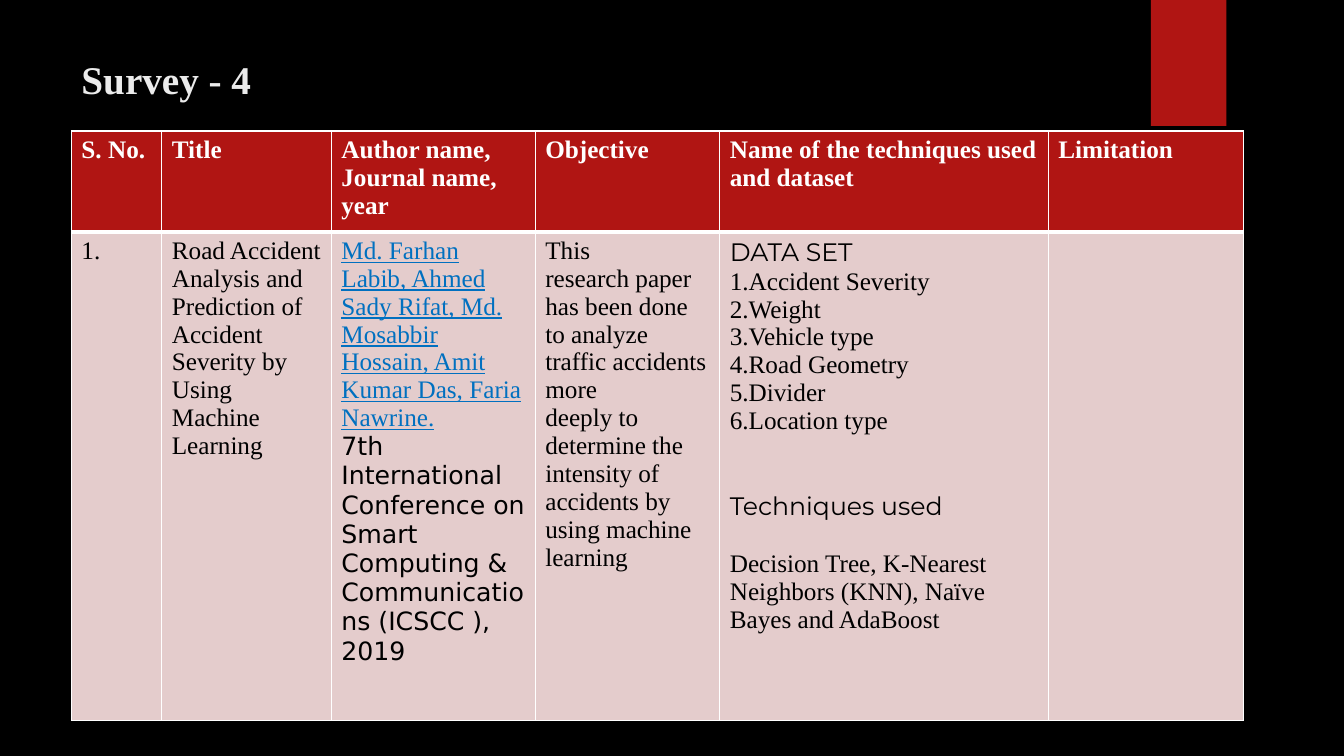
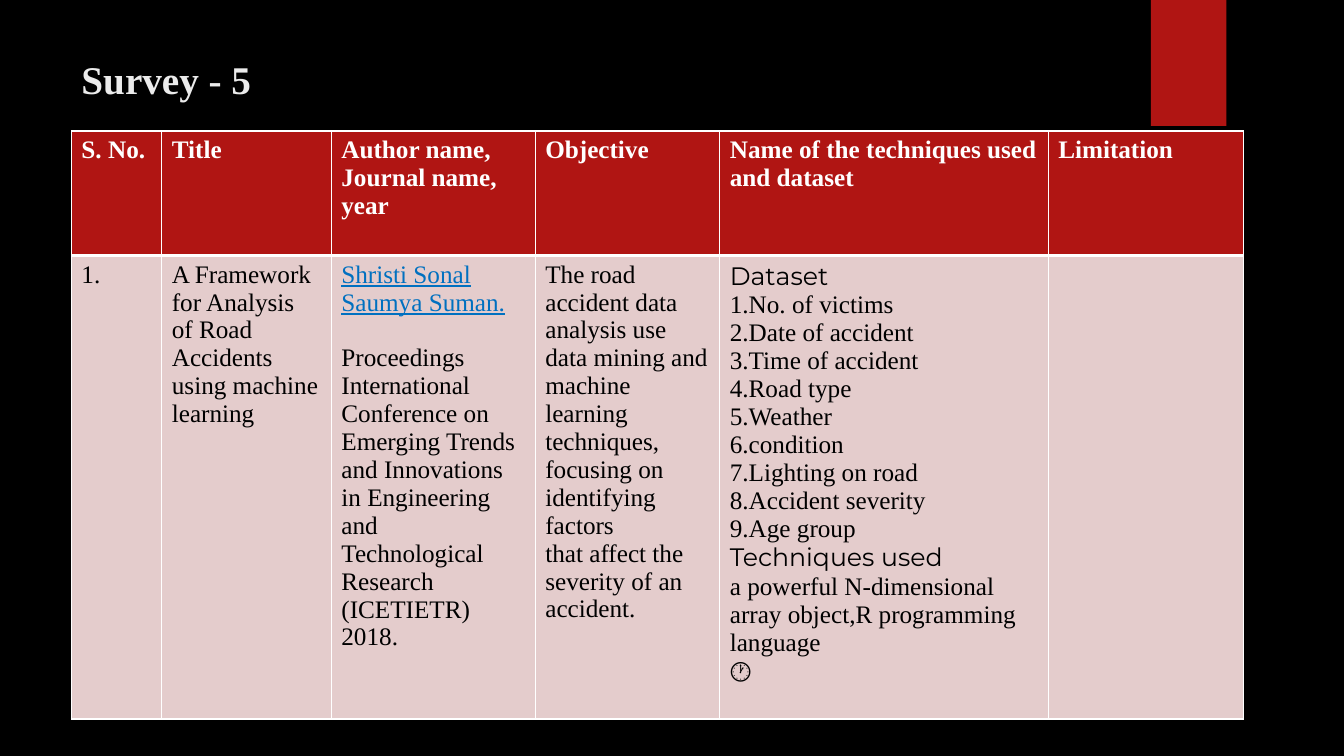
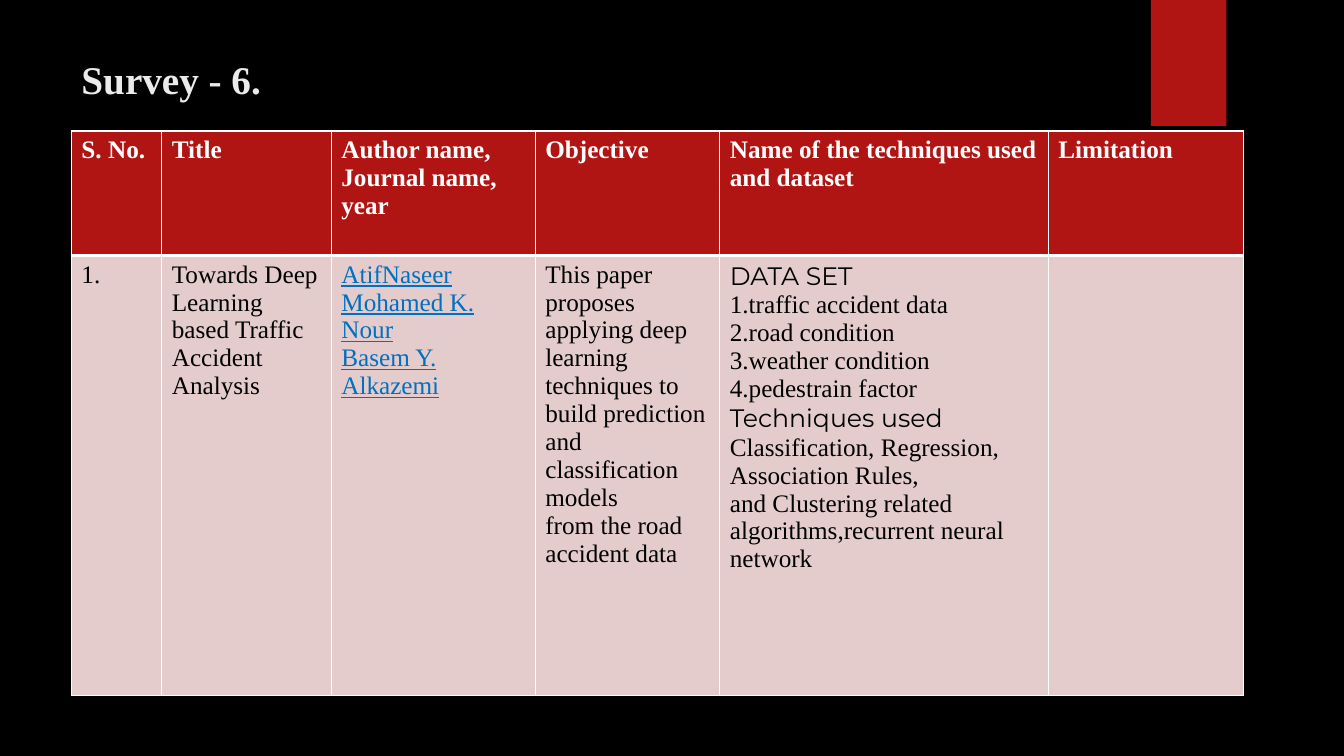
from lxml.etree import SubElement
from pptx import Presentation
from pptx.dml.color import RGBColor
from pptx.enum.shapes import MSO_SHAPE as Shape
from pptx.enum.text import MSO_ANCHOR as Anchor, PP_ALIGN as Align
from pptx.oxml.ns import qn
from pptx.util import Pt

BLACK = RGBColor(0x00, 0x00, 0x00)
WHITE = RGBColor(0xFF, 0xFF, 0xFF)
RED = RGBColor(0xB0, 0x15, 0x13)
PINK = RGBColor(0xE4, 0xCC, 0xCC)
BLUE = RGBColor(0x00, 0x70, 0xC0)
PALE = RGBColor(0xEB, 0xEB, 0xEB)

SERIF, SANS, DISPLAY = "Times New Roman", "DejaVu Sans", "Montserrat"
LINK = {"color": BLUE, "underline": True}
CONFERENCE = {"font": SANS}
HEADING = {"font": DISPLAY}

TABLE_LEFT, TABLE_TOP = 51, 93.6
COLUMN_WIDTHS = [64.6, 121.1, 145.7, 131.8, 234.6, 139.6]
HEADINGS = [
    ["S. No."],
    ["Title"],
    ["Author name, Journal name,", "year"],
    ["Objective"],
    ["Name of the techniques used and dataset"],
    ["Limitation"],
]

SURVEYS = [
    {
        "title": "Survey - 4",
        "row_heights": [72, 349],
        "entry": [
            ["1."],
            ["Road Accident Analysis and Prediction of Accident Severity by Using Machine",
             "Learning"],
            [("Md. Farhan Labib, Ahmed Sady Rifat, Md. Mosabbir Hossain, "
              "Amit Kumar Das, Faria Nawrine.", LINK),
             ("7th International Conference on Smart Computing & Communications (ICSCC ),",
              CONFERENCE),
             ("2019", CONFERENCE)],
            ["This",
             "research paper has been done to analyze traffic accidents more",
             "deeply to determine the intensity of accidents by using machine",
             "learning"],
            [("DATA SET", HEADING),
             "1.Accident Severity", "2.Weight", "3.Vehicle type",
             "4.Road Geometry", "5.Divider", "6.Location type",
             ("Techniques used", HEADING | {"before": 40}),
             ("Decision Tree, K-Nearest", {"before": 20}),
             "Neighbors (KNN), Naïve Bayes and AdaBoost"],
            [],
        ],
    },
    {
        "title": "Survey - 5",
        "row_heights": [89, 331],
        "entry": [
            ["1."],
            ["A Framework for Analysis of Road Accidents using machine learning"],
            [("Shristi Sonal Saumya Suman.", LINK),
             ("Proceedings International Conference on Emerging Trends and Innovations "
              "in Engineering and Technological Research (ICETIETR)", {"before": 20}),
             "2018."],
            ["The road accident data analysis use data mining and",
             "machine learning techniques, focusing on identifying factors",
             "that affect the severity of an accident."],
            [("Dataset", HEADING),
             "1.No. of victims", "2.Date of accident", "3.Time of accident",
             "4.Road type", "5.Weather", "6.condition", "7.Lighting on road",
             "8.Accident severity", "9.Age group",
             ("Techniques used", HEADING),
             "a powerful N-dimensional array object,R programming",
             "language",
             "🕐"],
            [],
        ],
    },
    {
        "title": "Survey - 6.",
        "row_heights": [89, 314],
        "entry": [
            ["1."],
            ["Towards Deep Learning based Traffic Accident", "Analysis"],
            [("AtifNaseer", LINK), ("Mohamed K. Nour", LINK), ("Basem Y. Alkazemi", LINK)],
            ["This paper proposes applying deep",
             "learning techniques to build prediction and classification models",
             "from the road accident data"],
            [("DATA SET", HEADING),
             "1.traffic accident data", "2.road condition",
             "3.weather condition", "4.pedestrain factor",
             ("Techniques used", HEADING),
             "Classification, Regression, Association Rules,",
             "and Clustering related algorithms,recurrent neural network"],
            [],
        ],
    },
]


def write(paragraph, text, font=SERIF, size=18, color=BLACK, bold=False,
          underline=False, before=0):
    paragraph.alignment = Align.LEFT
    paragraph.space_before = Pt(before)
    run = paragraph.add_run()
    run.text = text
    run.font.name = font
    run.font.size = Pt(size)
    run.font.color.rgb = color
    run.font.bold = bold
    run.font.underline = underline


def outline(cell, top, bottom):
    properties = cell._tc.get_or_add_tcPr()
    for side, width in (("L", 1), ("R", 1), ("T", top), ("B", bottom)):
        edge = SubElement(properties, qn(f"a:ln{side}"), w=str(Pt(width)))
        SubElement(SubElement(edge, qn("a:solidFill")), qn("a:srgbClr"), val=str(WHITE))


def fill_cell(cell, lines, background, top, bottom, **style):
    outline(cell, top, bottom)
    cell.fill.solid()
    cell.fill.fore_color.rgb = background
    for index, line in enumerate(lines):
        text, extra = (line, {}) if isinstance(line, str) else line
        frame = cell.text_frame
        paragraph = frame.add_paragraph() if index else frame.paragraphs[0]
        write(paragraph, text, **(style | extra))


def add_title(slide, text):
    title = slide.shapes.title
    title.left, title.top, title.width, title.height = Pt(51), Pt(36), Pt(818), Pt(57.6)
    title.text_frame.vertical_anchor = Anchor.TOP
    write(title.text_frame.paragraphs[0], text, size=28, color=PALE, bold=True)


def add_survey_table(slide, row_heights, entry):
    table = slide.shapes.add_table(
        2, len(COLUMN_WIDTHS), Pt(TABLE_LEFT), Pt(TABLE_TOP),
        Pt(sum(COLUMN_WIDTHS)), Pt(sum(row_heights))).table
    table.horz_banding = False
    for row, height in zip(table.rows, row_heights):
        row.height = Pt(height)
    for index, width in enumerate(COLUMN_WIDTHS):
        table.columns[index].width = Pt(width)
        fill_cell(table.cell(0, index), HEADINGS[index], RED, 1, 3, color=WHITE, bold=True)
        fill_cell(table.cell(1, index), entry[index], PINK, 3, 1)


def decorate(layout, slide):
    layout.background.fill.solid()
    layout.background.fill.fore_color.rgb = BLACK
    band = slide.shapes.add_shape(Shape.RECTANGLE, Pt(822), Pt(0), Pt(54), Pt(90))
    band.shadow.inherit = False
    band.fill.solid()
    band.fill.fore_color.rgb = RED
    band.line.fill.background()
    layout.shapes.element.append(band.element)


def main():
    deck = Presentation()
    deck.slide_width, deck.slide_height = Pt(960), Pt(540)
    layout = deck.slide_layouts[5]
    for number, survey in enumerate(SURVEYS):
        slide = deck.slides.add_slide(layout)
        if number == 0:
            decorate(layout, slide)
        add_title(slide, survey["title"])
        add_survey_table(slide, survey["row_heights"], survey["entry"])
    deck.save("out.pptx")


if __name__ == "__main__":
    main()
